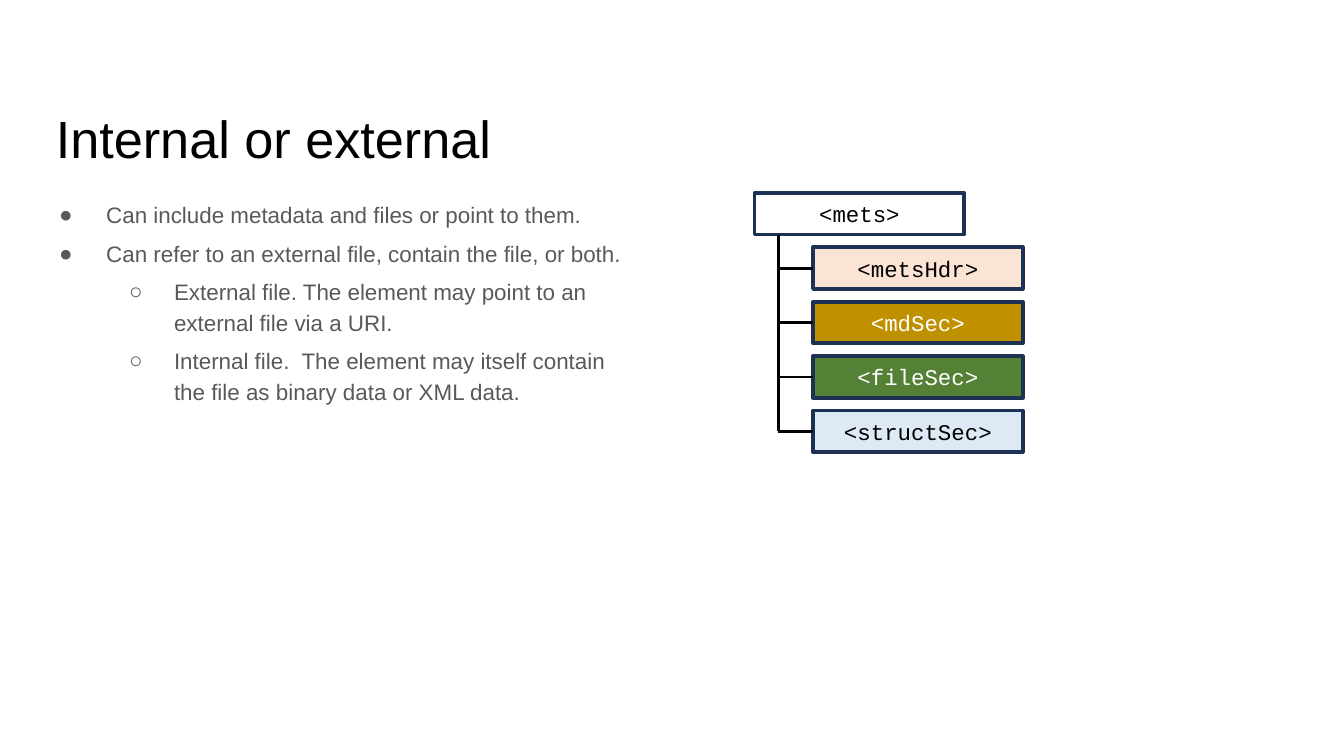
import pptx
import pptx.dml.color
import pptx.enum.shapes
import pptx.enum.text
import pptx.oxml.ns
import pptx.util
import lxml.etree

PX = 4572  # 200 px to the inch
RGB = pptx.dml.color.RGBColor
BLACK = RGB(0x00, 0x00, 0x00)
WHITE = RGB(0xFF, 0xFF, 0xFF)
GRAY = RGB(0x59, 0x59, 0x59)
NAVY = RGB(0x1D, 0x31, 0x55)
PEACH = RGB(0xFB, 0xE4, 0xD4)
GOLD = RGB(0xBF, 0x90, 0x00)
GREEN = RGB(0x54, 0x81, 0x35)
BLUE = RGB(0xDD, 0xEA, 0xF6)
MIDDLE = pptx.enum.text.MSO_ANCHOR.MIDDLE
qn = pptx.oxml.ns.qn

deck = pptx.Presentation()
deck.slide_width = 2000 * PX
deck.slide_height = 1125 * PX
slide = deck.slides.add_slide(deck.slide_layouts[6])
shapes = slide.shapes


def write(par, text, size, font, color):
    run = par.add_run()
    run.text = text
    run.font.size = pptx.util.Pt(size)
    run.font.name = font
    run.font.color.rgb = color


def draw_line(x1, y1, x2, y2):
    line = shapes.add_connector(pptx.enum.shapes.MSO_CONNECTOR.STRAIGHT, x1, y1, x2, y2)
    line.line.color.rgb = BLACK
    line.line.width = pptx.util.Pt(1.5)
    lxml.etree.SubElement(line._element.spPr, qn("a:effectLst"))
    return line


# Title and body text
frames = []
for top, width, height in [(142, 1864, 126), (287, 874, 712)]:
    frame = shapes.add_textbox(68 * PX, top * PX, width * PX, height * PX).text_frame
    frame.word_wrap = True
    frame.margin_left = frame.margin_right = 15 * PX
    frame.margin_top = frame.margin_bottom = 7 * PX
    frames.append(frame)
title, body = frames
title.vertical_anchor = MIDDLE
write(title.paragraphs[0], "Internal or external", 28, "Arial", BLACK)

points = [
    (0, "Can include metadata and files or point to them."),
    (0, "Can refer to an external file, contain the file, or both."),
    (1, "External file. The element may point to an external file via a URI."),
    (1, "Internal file.  The element may itself contain the file as binary data or XML data."),
]
marks = [("●", 75, -70), ("○", 176, -67)]
for i, (level, text) in enumerate(points):
    par = body.add_paragraph() if i else body.paragraphs[0]
    par.level = level
    par.line_spacing = 1.15
    par.space_before = pptx.util.Pt(4 if i else 0)
    write(par, text, 12, "Arial", GRAY)
    mark, left, hang = marks[level]
    props = par._p.get_or_add_pPr()
    props.set("marL", str(left * PX))
    props.set("indent", str(hang * PX))
    tint = lxml.etree.SubElement(props, qn("a:buClr"))
    lxml.etree.SubElement(tint, qn("a:srgbClr"), val=str(GRAY))
    lxml.etree.SubElement(props, qn("a:buFont"), typeface="Arial")
    lxml.etree.SubElement(props, qn("a:buChar"), char=mark)

# Element tree: the root box, then its children at an equal pitch
stem = 1158 * PX
first, pitch = 368, 81
nodes = [
    ("<mets>", WHITE, BLACK),
    ("<metsHdr>", PEACH, BLACK),
    ("<mdSec>", GOLD, WHITE),
    ("<fileSec>", GREEN, WHITE),
    ("<structSec>", BLUE, BLACK),
]
boxes = []
for i, (text, fill, color) in enumerate(nodes):
    left, top = (1210, first + pitch * (i - 1)) if i else (1123, 287)
    box = shapes.add_shape(pptx.enum.shapes.MSO_SHAPE.RECTANGLE,
                           left * PX, top * PX, 312 * PX, 62 * PX)
    box.shadow.inherit = False
    box.fill.solid()
    box.fill.fore_color.rgb = fill
    box.line.color.rgb = NAVY
    box.line.width = pptx.util.Pt(2)
    box.text_frame.vertical_anchor = MIDDLE
    par = box.text_frame.paragraphs[0]
    par.alignment = pptx.enum.text.PP_ALIGN.CENTER
    write(par, text, 12, "Courier New", color)
    boxes.append(box)

root, *parts = boxes
for box in parts:
    mid = box.top + box.height // 2
    draw_line(box.left, mid, stem, mid).begin_connect(box, 1)
draw_line(stem, root.top + root.height, stem, mid)

deck.save("out.pptx")
